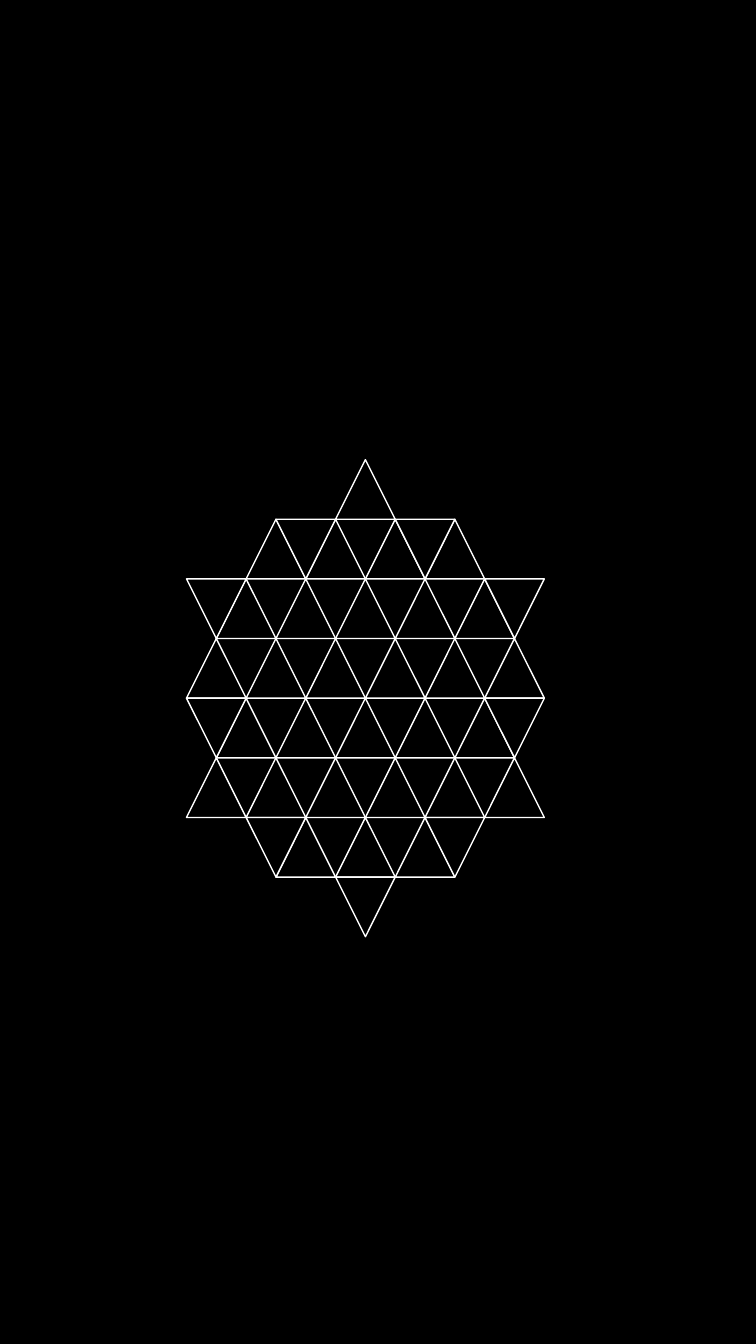
from pptx import Presentation
from pptx.dml.color import RGBColor
from pptx.enum.shapes import MSO_SHAPE as Preset
from pptx.util import Pt

BLACK = RGBColor(0x00, 0x00, 0x00)
WHITE = RGBColor(0xFF, 0xFF, 0xFF)

# Triangle grid: columns advance by half a triangle, rows by a whole one
SIDE = 42.6
GRID_LEFT, GRID_TOP = 133.2, 328.3

# Each row: columns of upright triangles, columns of inverted triangles
ROWS = [
    ([5], []),
    (range(2, 9, 2), [3, 7]),
    (range(1, 10, 2), [0, 10]),
    (range(0, 11, 2), []),
    (range(1, 10, 2), [0, 10]),
    (range(0, 11, 2), []),
    (range(3, 8, 2), [2, 8]),
    ([], [5]),
]


class Canvas:
    """Holds the current slide and the style of its shapes."""

    def __init__(self, slide, fill=BLACK, line=WHITE, line_width=1):
        self.slide = slide
        self.fill = fill
        self.line = line
        self.line_width = line_width

    def background(self):
        fill = self.slide.background.fill
        fill.solid()
        fill.fore_color.rgb = self.fill

    def triangle(self, left, top, side, rotation=0):
        shape = self.slide.shapes.add_shape(
            Preset.ISOSCELES_TRIANGLE, Pt(left), Pt(top), Pt(side), Pt(side))
        shape.rotation = rotation
        shape.shadow.inherit = False
        shape.fill.solid()
        shape.fill.fore_color.rgb = self.fill
        shape.line.color.rgb = self.line
        shape.line.width = Pt(self.line_width)


presentation = Presentation()
presentation.slide_width = Pt(540)
presentation.slide_height = Pt(960)
canvas = Canvas(presentation.slides.add_slide(presentation.slide_layouts[6]))
canvas.background()

# Star-shaped lattice
for row, (upright, inverted) in enumerate(ROWS):
    for columns, rotation in ((upright, 0), (inverted, 180)):
        for column in columns:
            canvas.triangle(GRID_LEFT + column * SIDE / 2,
                            GRID_TOP + row * SIDE, SIDE, rotation)

presentation.save("out.pptx")
